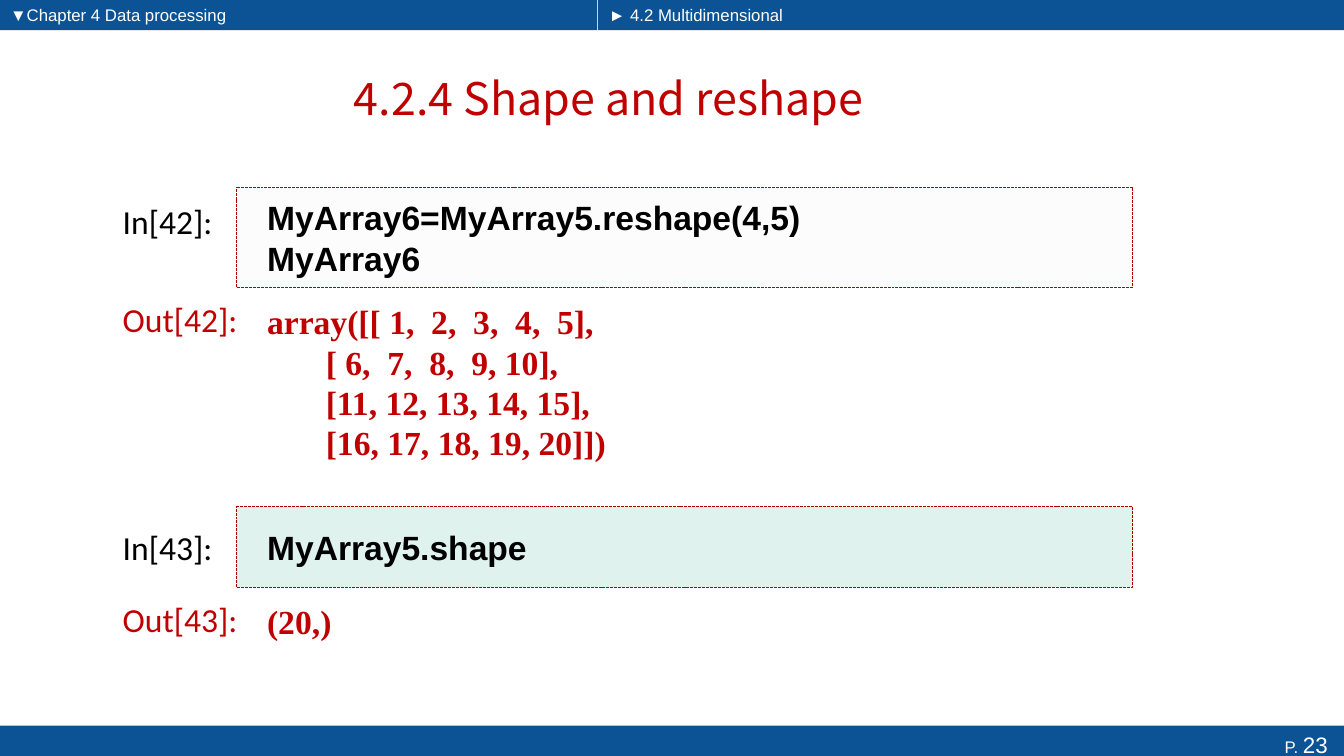
from dataclasses import dataclass

from lxml.etree import SubElement
from pptx import Presentation
from pptx.dml.color import RGBColor
from pptx.enum.dml import MSO_LINE
from pptx.enum.shapes import MSO_SHAPE
from pptx.enum.text import MSO_ANCHOR, MSO_AUTO_SIZE, PP_ALIGN
from pptx.oxml.ns import qn
from pptx.util import Pt


@dataclass(frozen=True)
class Theme:
    blue: str = "0B5394"
    white: str = "FFFFFF"
    black: str = "000000"
    red: str = "C00000"
    border: str = "AB0000"
    input_grey: str = "F1EEF4"
    input_green: str = "0C9B74"
    cell_opacity: int = 13000
    title_size: int = 32
    code_size: int = 24
    page_size: int = 16
    small_size: int = 12


THEME = Theme()
SLIDE_WIDTH, SLIDE_HEIGHT = 960, 540
HEADER_HEIGHT = 21.6
HEADER_SPLIT = 427
LABEL_LEFT, LABEL_WIDTH, LABEL_HEIGHT = 80.6, 110, 36
CELL_LEFT, INPUT_WIDTH, OUTPUT_WIDTH = 169.2, 640, 629.3

TITLE = {"name": "Noto Sans CJK SC", "size": THEME.title_size, "color": THEME.red}
SMALL = {"name": "Arial", "size": THEME.small_size, "color": THEME.white}
PAGE = {**SMALL, "size": THEME.page_size}
INPUT_LABEL = {"name": "Calibri", "size": THEME.code_size, "color": THEME.black}
OUTPUT_LABEL = {**INPUT_LABEL, "color": THEME.red}
INPUT_CODE = {**INPUT_LABEL, "name": "Arial", "bold": True}
OUTPUT_CODE = {**OUTPUT_LABEL, "name": "Times New Roman", "bold": True}

ARRAY_LINES = [
    "array([[ 1,  2,  3,  4,  5],",
    "       [ 6,  7,  8,  9, 10],",
    "       [11, 12, 13, 14, 15],",
    "       [16, 17, 18, 19, 20]])",
]


def format_font(font, style):
    for name, value in style.items():
        if name == "color":
            font.color.rgb = RGBColor.from_string(value)
        else:
            setattr(font, name, Pt(value) if name == "size" else value)


def set_frame(frame, **settings):
    """Set text frame attributes; wrapping is on and auto-fit off by default."""
    defaults = {"word_wrap": True, "auto_size": MSO_AUTO_SIZE.NONE}
    for name, value in {**defaults, **settings}.items():
        setattr(frame, name, value)


def write_lines(frame, lines, style, alignment=PP_ALIGN.LEFT):
    for index, line in enumerate(lines):
        paragraph = frame.add_paragraph() if index else frame.paragraphs[0]
        paragraph.alignment = alignment
        run = paragraph.add_run()
        run.text = line
        format_font(run.font, style)


def place(shape, left, top, width, height):
    box = {"left": left, "top": top, "width": width, "height": height}
    for name, value in box.items():
        setattr(shape, name, Pt(value))


def fill_title(slide):
    title = slide.shapes.title
    place(title, 49, 37.4, 771.8, 64.8)
    set_frame(title.text_frame, vertical_anchor=MSO_ANCHOR.MIDDLE)
    write_lines(title.text_frame, ["4.2.4 Shape and reshape"], TITLE, PP_ALIGN.CENTER)


def fill_breadcrumb(placeholder, text, left, width):
    place(placeholder, left, 0, width, 20.9)
    set_frame(placeholder.text_frame, vertical_anchor=MSO_ANCHOR.TOP)
    paragraph = placeholder.text_frame.paragraphs[0]
    properties = paragraph._p.get_or_add_pPr()
    properties.set("marL", "0")
    properties.set("indent", "0")
    SubElement(properties, qn("a:buNone"))
    paragraph.space_before = Pt(0)
    write_lines(placeholder.text_frame, [text], SMALL)


def add_rectangle(slide, left, top, width, height, color):
    shape = slide.shapes.add_shape(
        MSO_SHAPE.RECTANGLE, Pt(left), Pt(top), Pt(width), Pt(height))
    shape.shadow.inherit = False
    shape.fill.solid()
    shape.fill.fore_color.rgb = RGBColor.from_string(color)
    shape.line.fill.background()
    return shape


def add_band(slide, left, top, width, height):
    """Add a blue band behind the placeholders."""
    band = add_rectangle(slide, left, top, width, height, THEME.blue)
    element = band._element
    element.getparent().insert(2, element)
    return band


def add_page_number(band, number):
    set_frame(band.text_frame, vertical_anchor=MSO_ANCHOR.TOP, margin_right=Pt(11.6))
    write_lines(band.text_frame, ["P. "], SMALL, PP_ALIGN.RIGHT)
    run = band.text_frame.paragraphs[0].add_run()
    run.text = number
    format_font(run.font, PAGE)


def add_text(slide, left, top, width, height):
    return slide.shapes.add_textbox(Pt(left), Pt(top), Pt(width), Pt(height))


def add_label(slide, text, top, style):
    label = add_text(slide, LABEL_LEFT, top, LABEL_WIDTH, LABEL_HEIGHT)
    set_frame(label.text_frame)
    write_lines(label.text_frame, [text], style)


def write_code(shape, lines, style):
    set_frame(shape.text_frame, vertical_anchor=MSO_ANCHOR.MIDDLE, margin_left=Pt(21.6))
    write_lines(shape.text_frame, lines, style)


def add_input(slide, number, lines, label_top, top, height, color):
    add_label(slide, f"In[{number}]:", label_top, INPUT_LABEL)
    cell = add_rectangle(slide, CELL_LEFT, top, INPUT_WIDTH, height, color)
    fill_color = cell._element.spPr.find(f"{qn('a:solidFill')}/{qn('a:srgbClr')}")
    SubElement(fill_color, qn("a:alpha"), val=str(THEME.cell_opacity))
    cell.line.color.rgb = RGBColor.from_string(THEME.border)
    cell.line.width = Pt(0.7)
    cell.line.dash_style = MSO_LINE.SQUARE_DOT
    write_code(cell, lines, INPUT_CODE)


def add_output(slide, number, lines, label_top, top, height):
    add_label(slide, f"Out[{number}]:", label_top, OUTPUT_LABEL)
    cell = add_text(slide, CELL_LEFT, top, OUTPUT_WIDTH, height)
    write_code(cell, lines, OUTPUT_CODE)


def main():
    presentation = Presentation()
    presentation.slide_width = Pt(SLIDE_WIDTH)
    presentation.slide_height = Pt(SLIDE_HEIGHT)
    slide = presentation.slides.add_slide(
        presentation.slide_layouts.get_by_name("Two Content"))

    fill_title(slide)
    chapter, section = slide.placeholders[1], slide.placeholders[2]
    fill_breadcrumb(chapter, "▼Chapter 4 Data processing", 0, 347.8)
    fill_breadcrumb(section, "► 4.2 Multidimensional", 427.7, 171.4)

    add_band(slide, 0, 0, HEADER_SPLIT - 0.4, HEADER_HEIGHT)
    add_band(slide, HEADER_SPLIT, 0, SLIDE_WIDTH - HEADER_SPLIT, HEADER_HEIGHT)
    footer = add_band(slide, 0, 518.4, SLIDE_WIDTH, 26.6)
    add_page_number(footer, "23")

    add_input(slide, 42, ["MyArray6=MyArray5.reshape(4,5)", "MyArray6"],
              139.7, 133.9, 71.3, THEME.input_grey)
    add_output(slide, 42, ARRAY_LINES, 210.2, 208.1, 129.6)
    add_input(slide, 43, ["MyArray5.shape"], 373, 362, 57.6, THEME.input_green)
    add_output(slide, 43, ["(20,)"], 424.1, 413.3, 61.2)

    presentation.save("out.pptx")


if __name__ == "__main__":
    main()
